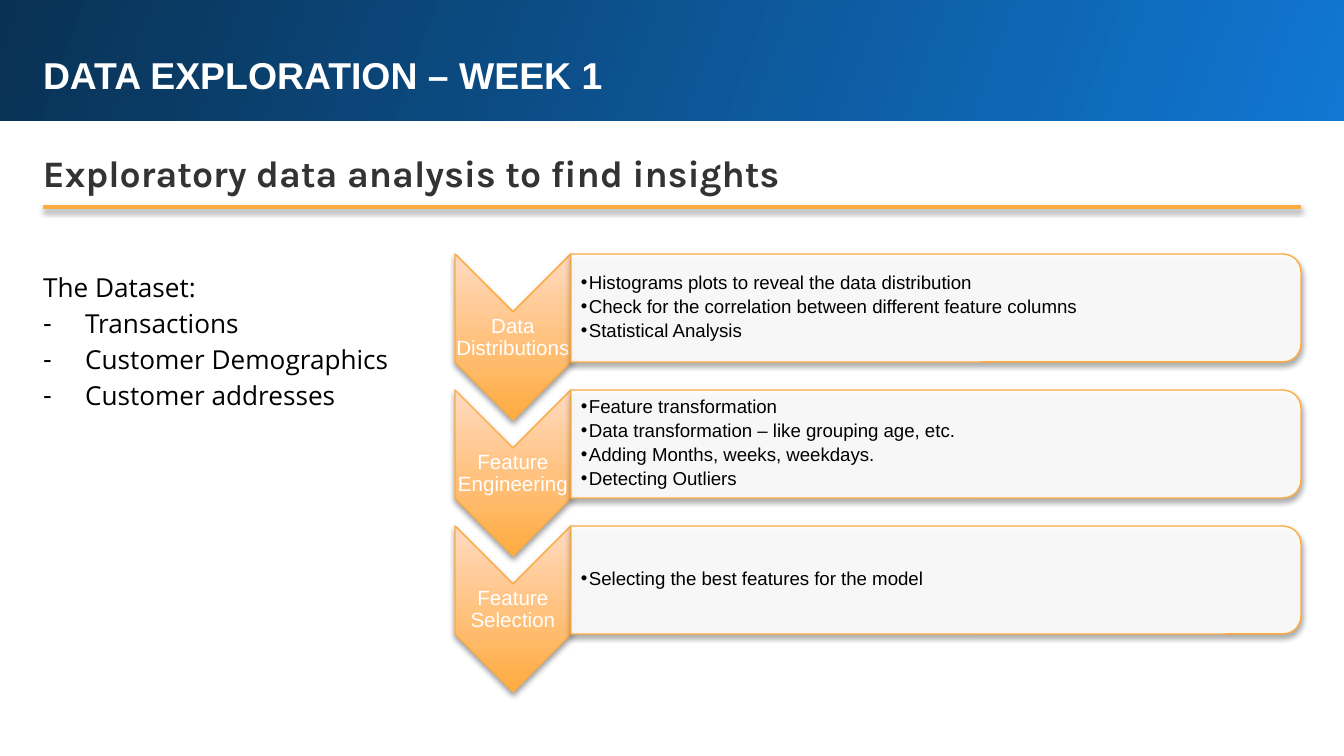
from lxml.etree import SubElement
from pptx import Presentation
from pptx.dml.color import RGBColor
from pptx.enum.shapes import MSO_CONNECTOR, MSO_SHAPE
from pptx.enum.text import MSO_ANCHOR, MSO_AUTO_SIZE, PP_ALIGN
from pptx.oxml import parse_xml
from pptx.oxml.ns import nsdecls, qn
from pptx.util import Emu, Pt

ORANGE = "FFAB40"
FRAME = {"word_wrap": True, "auto_size": MSO_AUTO_SIZE.NONE}
LEFT = {"alignment": PP_ALIGN.LEFT, "space_before": Pt(0), "space_after": Pt(0)}
TITLE = {"color": "FFFFFF", "margins": (13, 13, 13, 13), "anchor": MSO_ANCHOR.TOP,
         "font": {"name": "Arial", "size": Pt(20), "bold": True}, "paragraph": LEFT}
SUBTITLE = TITLE | {"color": "333333",
                    "font": {"name": "Karla", "size": Pt(20), "bold": True},
                    "paragraph": LEFT | {"line_spacing": 1.15}}
DATASET = SUBTITLE | {"color": "000000",
                      "font": {"name": "Open Sans", "size": Pt(14), "bold": False}}
STAGE = {"color": "FFFFFF", "margins": (1, 1, 1, 1), "anchor": MSO_ANCHOR.MIDDLE,
         "font": {"name": "Arial", "size": Pt(11)},
         "paragraph": {"alignment": PP_ALIGN.CENTER, "line_spacing": 0.9,
                       "space_after": Pt(4)}}
TASKS = STAGE | {"color": "000000", "margins": (10, 1, 1, 1),
                 "font": {"name": "Arial", "size": Pt(10)},
                 "paragraph": {"alignment": PP_ALIGN.LEFT, "level": 1,
                               "line_spacing": 0.9, "space_after": Pt(2)}}


def px(length):
    """Turn picture pixels into EMU."""
    return Emu(round(length * 914400 / 134.4))


def rgb(value):
    """Turn a hex string into a colour."""
    return RGBColor.from_string(value)


def assign(target, values):
    """Set each attribute named in values on target."""
    for name, value in values.items():
        setattr(target, name, value)


def cast_shadow(shape, opacity, distance):
    """Give a shape a soft shadow straight below it."""
    shape.element.spPr.append(parse_xml(
        f'<a:effectLst {nsdecls("a")}><a:outerShdw blurRad="{Pt(3)}" '
        f'dist="{Pt(distance)}" dir="5400000" rotWithShape="0">'
        f'<a:srgbClr val="000000"><a:alpha val="{opacity * 1000}"/></a:srgbClr>'
        '</a:outerShdw></a:effectLst>'))


def set_bullet(paragraph, mark, indent):
    """Give a paragraph a hanging bullet, or none when mark is empty."""
    properties = paragraph._p.get_or_add_pPr()
    properties.set("marL", str(px(indent)))
    properties.set("indent", str(-px(indent)))
    if mark:
        SubElement(properties, qn("a:buFont"), typeface="Arial")
        SubElement(properties, qn("a:buChar"), char=mark)
    else:
        SubElement(properties, qn("a:buNone"))


class SlideBuilder:
    """Holds the current slide and adds styled elements to it."""

    def __init__(self, slide):
        """Keep the slide to draw on."""
        self.slide = slide

    def fill_text(self, holder, lines, style, mark="", indent=0, plain=0):
        """Fill a text holder; the first plain lines carry no bullet."""
        frame = holder.text_frame
        sides = ("margin_left", "margin_top", "margin_right", "margin_bottom")
        margins = dict(zip(sides, map(px, style["margins"])))
        assign(frame, FRAME | margins | {"vertical_anchor": style["anchor"]})
        for number, line in enumerate(lines):
            paragraph = frame.add_paragraph() if number else frame.paragraphs[0]
            run = paragraph.add_run()
            run.text = line
            assign(paragraph, style["paragraph"])
            assign(run.font, style["font"])
            run.font.color.rgb = rgb(style["color"])
            bulleted = number >= plain
            set_bullet(paragraph, mark if bulleted else "", indent if bulleted else 0)

    def text(self, box, lines, style, **bullets):
        """Add a text box."""
        holder = self.slide.shapes.add_textbox(*map(px, box))
        self.fill_text(holder, lines, style, **bullets)

    def placeholder(self, index, box, lines, style, **bullets):
        """Move a template placeholder and fill it."""
        holder = self.slide.placeholders[index]
        assign(holder, dict(zip(("left", "top", "width", "height"), map(px, box))))
        self.fill_text(holder, lines, style, **bullets)

    def gradient(self, shape, start, end, angle):
        """Fill a shape with a linear two-colour gradient."""
        shape.fill.gradient()
        shape.fill.gradient_angle = angle
        for stop, color in zip(shape.fill.gradient_stops, (start, end)):
            stop.color.rgb = rgb(color)

    def banner(self, box):
        """Add the header band behind everything else."""
        band = self.slide.shapes.add_shape(MSO_SHAPE.RECTANGLE, *map(px, box))
        self.gradient(band, "1077D2", "093153", 160)
        band.line.fill.background()
        band.shadow.inherit = False
        self.slide.shapes.element.insert(2, band.element)

    def rule(self, left, right, y):
        """Add a horizontal orange line."""
        line = self.slide.shapes.add_connector(
            MSO_CONNECTOR.STRAIGHT, px(left), px(y), px(right), px(y))
        line.line.color.rgb = rgb(ORANGE)
        line.line.width = Pt(2)
        cast_shadow(line, 38, 1.6)

    def turned(self, preset, x, y, width, height):
        """Add an outlined shape turned a quarter; the box is as seen."""
        shift = (width - height) / 2
        shape = self.slide.shapes.add_shape(
            preset, px(x + shift), px(y - shift), px(height), px(width))
        shape.rotation = 90
        shape.line.color.rgb = rgb(ORANGE)
        shape.line.width = Pt(0.75)
        return shape

    def stage(self, y, name, tasks):
        """Add one step: a chevron with its name and a panel of tasks."""
        chevron = self.turned(MSO_SHAPE.CHEVRON, 455, y, 116, 166)
        self.gradient(chevron, ORANGE, "FFDAC0", 180)
        cast_shadow(chevron, 38, 1.6)
        self.text((455, y + 59, 116, 50), [name], STAGE)

        panel = self.turned(MSO_SHAPE.ROUND_2_SAME_RECTANGLE, 571, y, 730, 108)
        panel.fill.solid()
        panel.fill.fore_color.rgb = rgb("FFFFFF")
        color = panel.element.spPr.find(qn("a:solidFill")).find(qn("a:srgbClr"))
        SubElement(color, qn("a:alpha"), val="90000")
        cast_shadow(panel, 35, 1.8)
        self.text((571, y + 5, 725, 97), tasks, TASKS, mark="•", indent=8)


STAGES = {
    "Data Distributions": [
        "Histograms plots to reveal the data distribution",
        "Check for the correlation between different feature columns",
        "Statistical Analysis"],
    "Feature Engineering": [
        "Feature transformation",
        "Data transformation – like grouping age, etc.",
        "Adding Months, weeks, weekdays.",
        "Detecting Outliers"],
    "Feature Selection": ["Selecting the best features for the model"],
}

deck = Presentation()
deck.slide_width, deck.slide_height = px(1344), px(756)
builder = SlideBuilder(deck.slides.add_slide(deck.slide_layouts[1]))

builder.banner((-3, -3, 1347, 124))
builder.placeholder(0, (30, 39, 1259, 73), ["DATA EXPLORATION – WEEK 1"], TITLE)
builder.text((30, 130, 1259, 75), ["Exploratory data analysis to find insights"], SUBTITLE)
builder.rule(43, 1301, 207)
builder.placeholder(
    1, (30, 254, 382, 171),
    ["The Dataset:", "Transactions", "Customer Demographics", "Customer addresses"],
    DATASET, mark="-", indent=42, plain=1)
for row, (name, tasks) in enumerate(STAGES.items()):
    builder.stage(254 + 136 * row, name, tasks)

deck.save("out.pptx")
